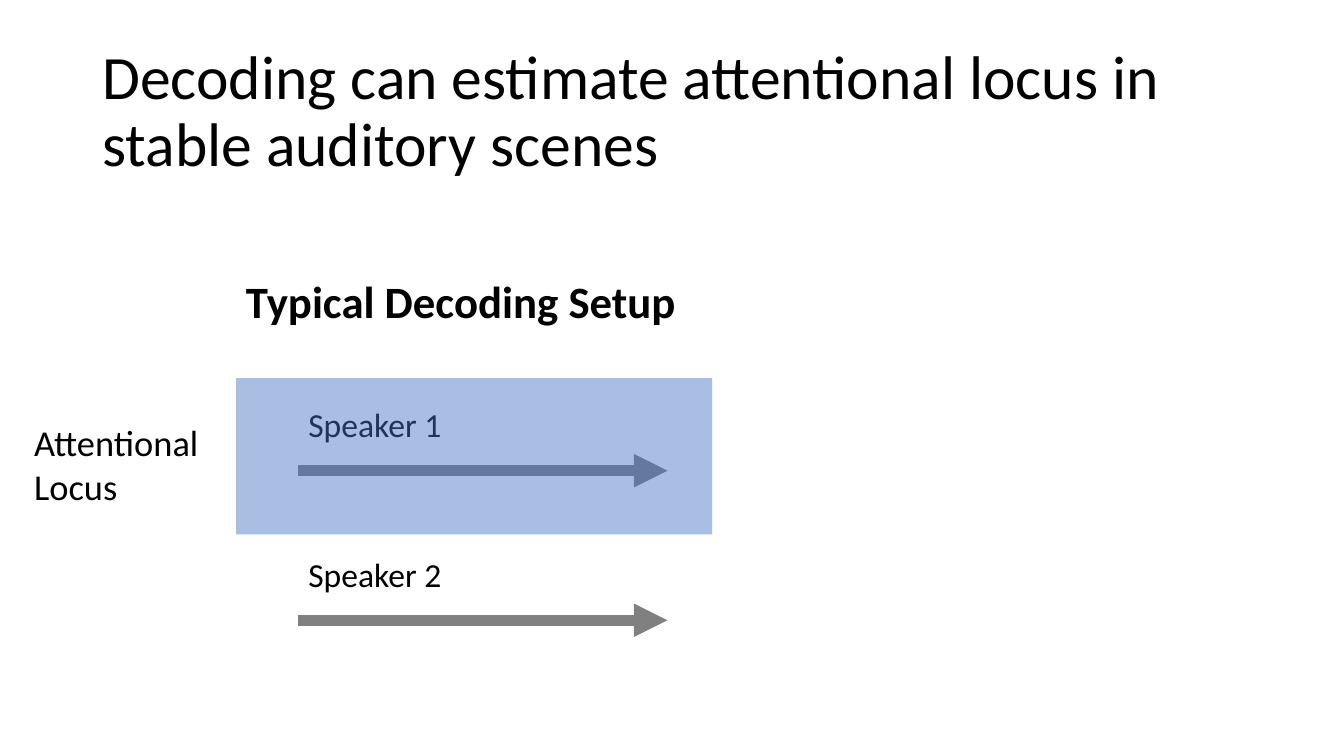
from dataclasses import dataclass

from lxml.etree import SubElement
from pptx import Presentation
from pptx.dml.color import RGBColor
from pptx.enum.shapes import MSO_CONNECTOR, MSO_SHAPE
from pptx.enum.text import MSO_ANCHOR
from pptx.oxml.ns import qn
from pptx.util import Cm, Pt


@dataclass(frozen=True)
class Theme:
    font: str = "Calibri"
    ink: str = "000000"
    gray: str = "808080"
    blue: str = "4472C4"
    title: int = 44
    head: int = 32
    side: int = 26
    label: int = 24
    stroke: int = 8


class Board:
    """Holds the theme and the slide being drawn."""

    def __init__(self, slide, theme):
        self.slide = slide
        self.theme = theme

    def text(self, words, box, size, bold=False, wrap=True,
             anchor=MSO_ANCHOR.TOP, space=1.0):
        frame = self.slide.shapes.add_textbox(*map(Cm, box)).text_frame
        frame.text = words
        frame.word_wrap = wrap
        frame.vertical_anchor = anchor
        for para in frame.paragraphs:
            para.line_spacing = space
            for run in para.runs:
                run.font.name = self.theme.font
                run.font.size = Pt(size)
                run.font.bold = bold
                run.font.color.rgb = RGBColor.from_string(self.theme.ink)

    def arrow(self, left, right, y):
        line = self.slide.shapes.add_connector(
            MSO_CONNECTOR.STRAIGHT, Cm(left), Cm(y), Cm(right), Cm(y))
        line.line.color.rgb = RGBColor.from_string(self.theme.gray)
        line.line.width = Pt(self.theme.stroke)
        SubElement(line.line._get_or_add_ln(), qn("a:tailEnd"), type="triangle")
        SubElement(line._element.spPr, qn("a:effectLst"))

    def band(self, box, alpha):
        rect = self.slide.shapes.add_shape(MSO_SHAPE.RECTANGLE, *map(Cm, box))
        rect.shadow.inherit = False
        rect.line.fill.background()
        rect.fill.solid()
        rect.fill.fore_color.rgb = RGBColor.from_string(self.theme.blue)
        color = rect._element.spPr.find(qn("a:solidFill"))[0]
        SubElement(color, qn("a:alpha"), val=str(alpha * 1000))


def main():
    deck = Presentation()
    deck.slide_width, deck.slide_height = Cm(33.87), Cm(19.05)
    theme = Theme()
    board = Board(deck.slides.add_slide(deck.slide_layouts[6]), theme)

    # Title and column heading
    board.text("Decoding can estimate attentional locus in stable auditory scenes",
               (2.33, 1.01, 29.21, 3.68), theme.title,
               anchor=MSO_ANCHOR.MIDDLE, space=0.9)
    left, width = 5.95, 12
    board.text("Typical Decoding Setup", (left, 6.78, width, 1.62),
               theme.head, bold=True)

    # One label and arrow per speaker
    start, end, top, step = 7.52, 16.82, 10.06, 3.77
    for i in range(2):
        y = top + i * step
        board.text(f"Speaker {i + 1}", (start, y, 5.1, 1.65), theme.label)
        board.arrow(start, end, y + 1.8)

    # Attended band over the first speaker
    board.band((left, 9.53, width, 3.94), alpha=46)
    board.text("Attentional\nLocus", (0.61, 10.46, 4.93, 2.49),
               theme.side, wrap=False)

    deck.save("out.pptx")


if __name__ == "__main__":
    main()
